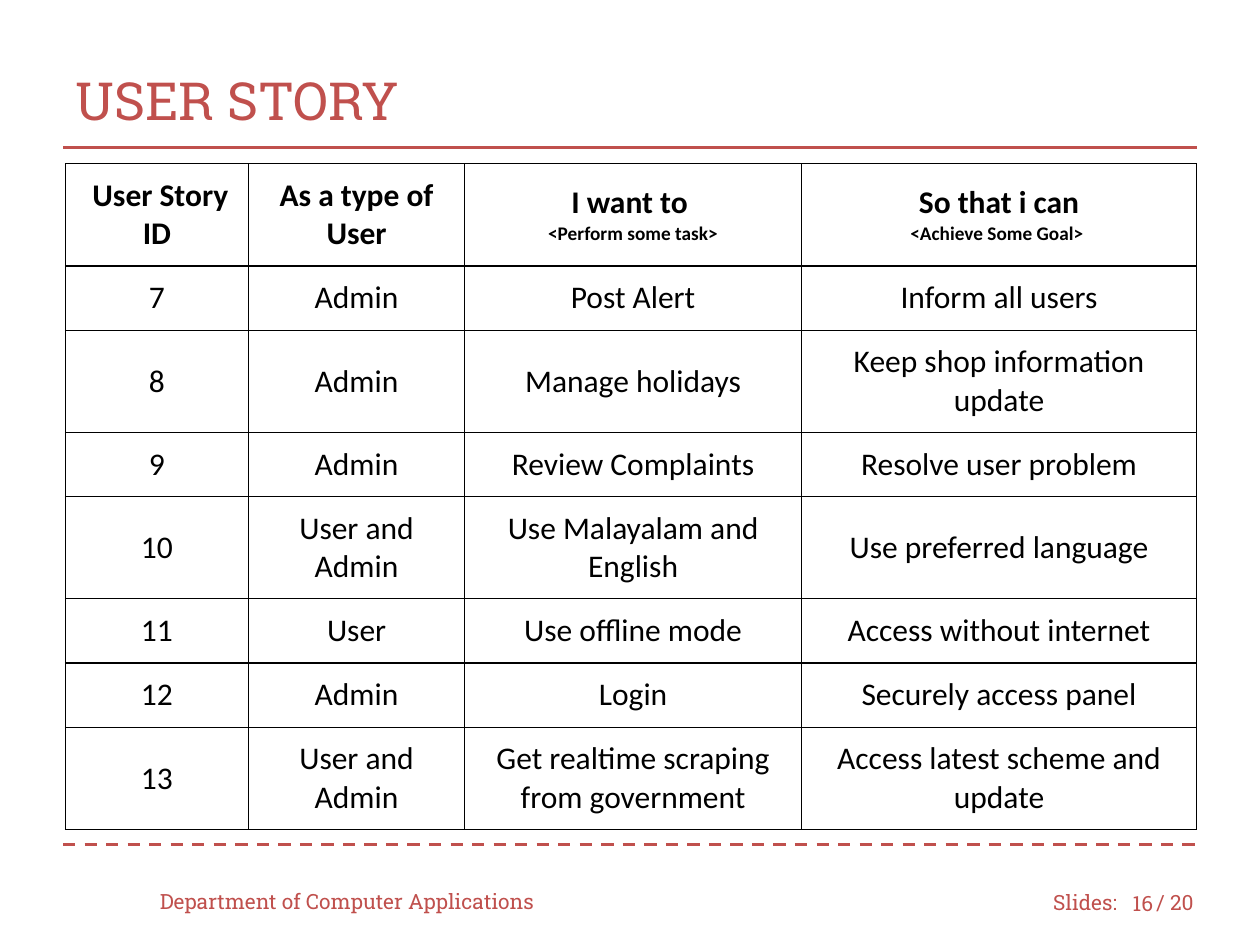
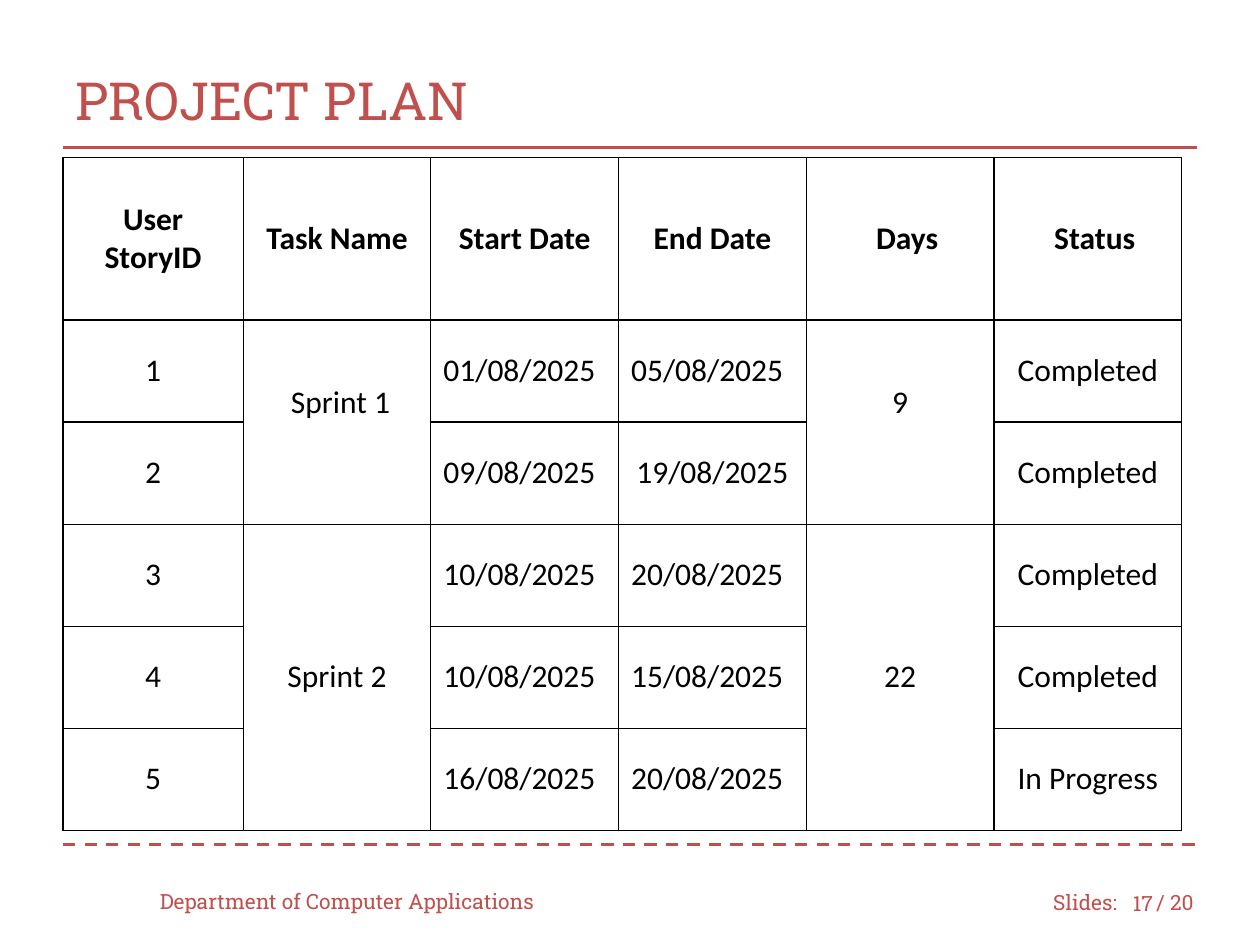
"""Build the user story and project plan slides."""
from dataclasses import dataclass
from typing import Optional, Union

from lxml import etree
from pptx import Presentation
from pptx import util as u
from pptx.dml import color
from pptx.enum import dml, shapes, text
from pptx.oxml import ns

ACCENT, BLACK, WHITE = "C0504D", "000000", "FFFFFF"
HEADING_FONT, TABLE_FONT = "Roboto Slab", "Calibri"
LEFT, CENTER, RIGHT = text.PP_ALIGN.LEFT, text.PP_ALIGN.CENTER, text.PP_ALIGN.RIGHT
MIDDLE = text.MSO_ANCHOR.MIDDLE
TABLE_SIZE, HINT_SIZE = 18, 11
SHORT_ROW, TALL_ROW = 0.51, 0.81


@dataclass(frozen=True)
class Label:
    words: str
    left: float
    top: float
    width: float
    align: text.PP_ALIGN = LEFT


@dataclass(frozen=True)
class Rule:
    top: float
    dash: Optional[dml.MSO_LINE] = None


@dataclass(frozen=True)
class Entry:
    words: str
    hint: str = ""
    align: text.PP_ALIGN = CENTER
    rows: int = 1
    left_inset: float = 0.1
    bottom_inset: float = 0.1


Row = list[Union[Entry, str, None]]


@dataclass(frozen=True)
class Grid:
    left: float
    top: float
    columns: list[float]
    heights: list[float]
    rows: list[Row]


@dataclass(frozen=True)
class Content:
    title: str
    number: int
    grid: Grid


RULES = [Rule(1.17), Rule(6.7, dml.MSO_LINE.DASH)]
FOOTER = [
    Label("Slides:", 8.26, 6.96, 0.75),
    Label("/ 20", 9.08, 6.96, 0.58),
    Label("Department of Computer Applications", 1.17, 6.95, 3.33),
]

USER_STORIES = Grid(
    0.52, 1.3, [1.45, 1.72, 2.67, 3.14],
    [TALL_ROW, SHORT_ROW, TALL_ROW, SHORT_ROW, TALL_ROW, SHORT_ROW, SHORT_ROW, TALL_ROW],
    [
        [" User Story ID", "As a type of User",
         Entry("I want to ", "<Perform some task>"),
         Entry("So that i can", "<Achieve Some Goal> ")],
        ["7", "Admin", "Post Alert", "Inform all users"],
        ["8", "Admin", "Manage holidays", "Keep shop information update"],
        ["9", "Admin", "Review Complaints", "Resolve user problem"],
        ["10", "User and Admin", "Use Malayalam and English", "Use preferred language"],
        ["11", "User", "Use offline mode", "Access without internet"],
        ["12", "Admin", "Login", "Securely access panel"],
        ["13", "User and Admin", "Get realtime scraping from government",
         "Access latest scheme and update"],
    ],
)


def date(day: str) -> Entry:
    return Entry(day, align=LEFT)


PROJECT_PLAN = Grid(
    0.5, 1.25, [1.43] + [1.49] * 5, [1.29] + [TALL_ROW] * 5,
    [
        ["User\nStoryID", "Task Name", "Start Date", "End Date",
         Entry("Days", left_inset=0.21), Entry("Status", left_inset=0.21)],
        ["1", Entry(" Sprint 1", rows=2, bottom_inset=0.4), date("01/08/2025"),
         date("05/08/2025"), Entry("9", rows=2, bottom_inset=0.4), "Completed"],
        ["2", None, date("09/08/2025"), "19/08/2025", None, "Completed"],
        ["3", Entry("Sprint 2", rows=3), date("10/08/2025"),
         date("20/08/2025"), Entry("22", rows=3), "Completed"],
        ["4", None, date("10/08/2025"), date("15/08/2025"), None, "Completed"],
        ["5", None, date("16/08/2025"), date("20/08/2025"), None, "In Progress"],
    ],
)

CONTENTS = [
    Content("USER STORY", 16, USER_STORIES),
    Content("PROJECT PLAN", 17, PROJECT_PLAN),
]


def rgb(value: str) -> color.RGBColor:
    return color.RGBColor.from_string(value)


def add_span(para, words: str, size: float, font: str, ink: str, bold: bool = False) -> None:
    span = para.add_run()
    span.text = words
    span.font.size = u.Pt(size)
    span.font.name = font
    span.font.bold = bold
    span.font.color.rgb = rgb(ink)


def fill_box(box, words: str, size: float, align: text.PP_ALIGN) -> None:
    frame = box.text_frame
    frame.word_wrap = True
    frame.auto_size = text.MSO_AUTO_SIZE.NONE
    frame.vertical_anchor = MIDDLE
    para = frame.paragraphs[0]
    para.alignment = align
    add_span(para, words, size, HEADING_FONT, ACCENT)


def add_title(page, words: str) -> None:
    title = page.shapes.title
    title.left, title.top = u.Inches(0.5), u.Inches(0.33)
    title.width, title.height = u.Inches(9), u.Inches(0.92)
    fill_box(title, words, 30, LEFT)


def add_label(page, label: Label) -> None:
    box = page.shapes.add_textbox(
        u.Inches(label.left), u.Inches(label.top), u.Inches(label.width), u.Inches(0.4))
    fill_box(box, label.words, 12, label.align)


def add_rule(page, rule: Rule) -> None:
    line = page.shapes.add_connector(
        shapes.MSO_CONNECTOR.STRAIGHT,
        u.Inches(0.5), u.Inches(rule.top), u.Inches(9.5), u.Inches(rule.top))
    line.line.color.rgb = rgb(ACCENT)
    line.line.width = u.Pt(1.75)
    if rule.dash:
        line.line.dash_style = rule.dash
    etree.SubElement(line._element.spPr, ns.qn("a:effectLst"))


def add_borders(cell) -> None:
    properties = cell._tc.get_or_add_tcPr()
    for position, side in enumerate("LRTB"):
        border = etree.Element(ns.qn(f"a:ln{side}"), w=str(u.Pt(0.75)))
        solid = etree.SubElement(border, ns.qn("a:solidFill"))
        etree.SubElement(solid, ns.qn("a:srgbClr"), val=BLACK)
        properties.insert(position, border)


def fill_cell(cell, entry: Entry, bold: bool) -> None:
    cell.vertical_anchor = MIDDLE
    cell.margin_left = u.Inches(entry.left_inset)
    cell.margin_right = cell.margin_top = u.Inches(0.1)
    cell.margin_bottom = u.Inches(entry.bottom_inset)
    lines = [(words, TABLE_SIZE) for words in entry.words.split("\n")]
    if entry.hint:
        lines.append((entry.hint, HINT_SIZE))
    frame = cell.text_frame
    for index, (words, size) in enumerate(lines):
        para = frame.add_paragraph() if index else frame.paragraphs[0]
        para.alignment = entry.align
        add_span(para, words, size, TABLE_FONT, BLACK, bold)


def add_grid(page, grid: Grid) -> None:
    table = page.shapes.add_table(
        len(grid.rows), len(grid.columns), u.Inches(grid.left), u.Inches(grid.top),
        u.Inches(sum(grid.columns)), u.Inches(sum(grid.heights))).table
    table.first_row = table.horz_banding = False
    for column, width in zip(table.columns, grid.columns):
        column.width = u.Inches(width)
    for row, height in zip(table.rows, grid.heights):
        row.height = u.Inches(height)
    for row_index, row in enumerate(grid.rows):
        for column_index, item in enumerate(row):
            cell = table.cell(row_index, column_index)
            cell.fill.solid()
            cell.fill.fore_color.rgb = rgb(WHITE)
            add_borders(cell)
            if item is None:
                continue
            entry = Entry(item) if isinstance(item, str) else item
            fill_cell(cell, entry, bold=row_index == 0)
            if entry.rows > 1:
                cell.merge(table.cell(row_index + entry.rows - 1, column_index))


def add_page(deck, content: Content) -> None:
    page = deck.slides.add_slide(deck.slide_layouts.get_by_name("Title Only"))
    for rule in RULES:
        add_rule(page, rule)
    add_title(page, content.title)
    for label in FOOTER + [Label(str(content.number), 8.83, 6.97, 0.42, RIGHT)]:
        add_label(page, label)
    add_grid(page, content.grid)


def main() -> None:
    deck = Presentation()
    deck.slide_width, deck.slide_height = u.Inches(10), u.Inches(7.5)
    for content in CONTENTS:
        add_page(deck, content)
    deck.save("out.pptx")


if __name__ == "__main__":
    main()
